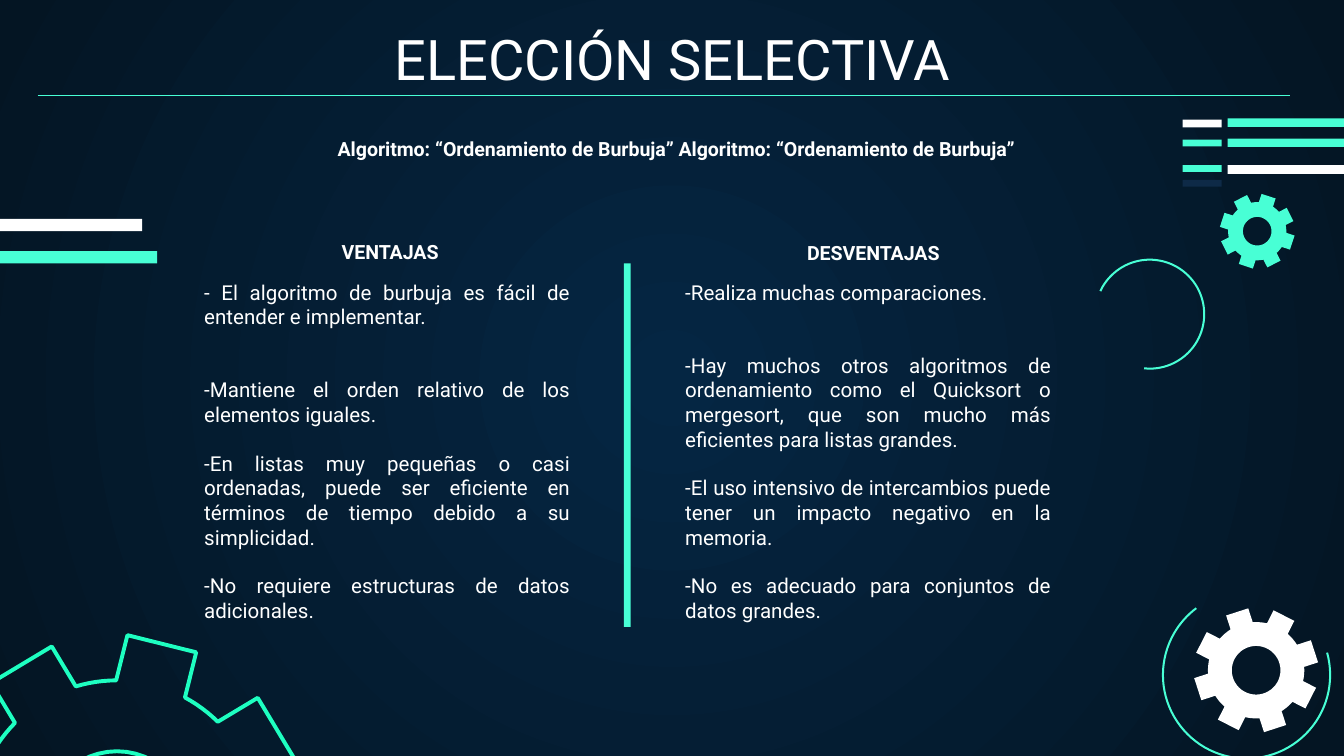
from math import asin, cos, radians, sin, tau

from lxml import etree
from pptx import Presentation
from pptx.dml.color import RGBColor
from pptx.enum.shapes import MSO_CONNECTOR, MSO_SHAPE
from pptx.enum.text import MSO_ANCHOR, PP_ALIGN
from pptx.oxml.ns import qn
from pptx.util import Cm, Pt

RECTANGLE, ARC = MSO_SHAPE.RECTANGLE, MSO_SHAPE.ARC
STRAIGHT = MSO_CONNECTOR.STRAIGHT
BOTTOM = MSO_ANCHOR.BOTTOM
CENTER, RIGHT, JUSTIFY = PP_ALIGN.CENTER, PP_ALIGN.RIGHT, PP_ALIGN.JUSTIFY

WHITE = RGBColor(0xFF, 0xFF, 0xFF)
MINT = RGBColor(0x48, 0xFF, 0xD5)
GREEN = RGBColor(0x1E, 0xFF, 0xC1)
NAVY = RGBColor(0x0E, 0x2A, 0x47)
GLOW = RGBColor(0x05, 0x26, 0x43)
NIGHT = RGBColor(0x04, 0x15, 0x23)

FONT = "Roboto"
INSET = 0.25
LINE_SPACE = 12.9  # height in points of one 11 pt line
TEETH = 8
ARC_STEPS = 6

ADVANTAGES = [
    "- El algoritmo de burbuja es fácil de entender e implementar.",
    "-Mantiene el orden relativo de los elementos iguales.",
    "-En listas muy pequeñas o casi ordenadas, puede ser eficiente en términos "
    "de tiempo debido a su simplicidad.",
    "-No requiere estructuras de datos adicionales.",
]
DRAWBACKS = [
    "-Realiza muchas comparaciones.",
    "-Hay muchos otros algoritmos de ordenamiento como el Quicksort o mergesort, "
    "que son mucho más eficientes para listas grandes.",
    "-El uso intensivo de intercambios puede tener un impacto negativo en la memoria.",
    "-No es adecuado para conjuntos de datos grandes.",
]


def add_text(slide, box, paragraphs, size=10.5, bold=False, align=RIGHT,
             gaps=(0,), bottom=INSET):
    """Place white paragraphs in a box; gaps are the points before each one."""
    frame = slide.shapes.add_textbox(*map(Cm, box)).text_frame
    frame.word_wrap = True
    frame.vertical_anchor = BOTTOM
    frame.margin_left = frame.margin_right = frame.margin_top = Cm(INSET)
    frame.margin_bottom = Cm(bottom)
    for index, (text, gap) in enumerate(zip(paragraphs, gaps)):
        paragraph = frame.add_paragraph() if index else frame.paragraphs[0]
        paragraph.alignment = align
        paragraph.space_before = Pt(gap)
        run = paragraph.add_run()
        run.text = text
        run.font.name = FONT
        run.font.size = Pt(size)
        run.font.bold = bold
        run.font.color.rgb = WHITE


def paint(shape, fill=None, line=None, width=1.09):
    shape.shadow.inherit = False
    if fill is None:
        shape.fill.background()
    else:
        shape.fill.solid()
        shape.fill.fore_color.rgb = fill
    if line is None:
        shape.line.fill.background()
    else:
        shape.line.color.rgb = line
        shape.line.width = Pt(width)


def add_bar(slide, box, color):
    paint(slide.shapes.add_shape(RECTANGLE, *map(Cm, box)), color)


def add_bars(slide, box, bars):
    """Stack bars in a box; each bar is (offset down, height, colour)."""
    left, top, width = box
    for offset, height, color in bars:
        add_bar(slide, (left, top + offset, width, height), color)


def add_arc(slide, center, radius, start, end):
    """Draw an open arc clockwise between two angles in degrees."""
    left, top = (value - radius for value in center)
    shape = slide.shapes.add_shape(ARC, Cm(left), Cm(top), Cm(2 * radius), Cm(2 * radius))
    for index, angle in enumerate((start, end)):
        shape.adjustments[index] = angle * 0.6  # 60000ths of a degree over 100000
    paint(shape, line=MINT)


def add_gear(slide, center, outer, root, hole, half_tooth, phase, **colors):
    """Draw a gear with a round hole; phase is the angle of its first tooth."""
    def point(radius, angle):
        return Cm(center[0] + radius * cos(angle)), Cm(center[1] + radius * sin(angle))

    tip, foot = asin(half_tooth / outer), asin(half_tooth / root)
    step = tau / TEETH
    valley = step - 2 * foot
    outline = []
    for tooth in range(TEETH):
        middle = radians(phase) + tooth * step
        outline += [point(outer, middle - tip), point(outer, middle + tip)]
        outline += [point(root, middle + foot + valley * part / ARC_STEPS)
                    for part in range(ARC_STEPS + 1)]
    sides = TEETH * ARC_STEPS
    ring = [point(hole, -tau * side / sides) for side in range(sides)]

    builder = slide.shapes.build_freeform(*outline[0])
    builder.add_line_segments(outline[1:])
    builder.move_to(*ring[0])
    builder.add_line_segments(ring[1:])
    paint(builder.convert_to_shape(), **colors)


def add_column(slide, left, top, paragraphs, bottom=INSET):
    gaps = (0, 2 * LINE_SPACE, LINE_SPACE, LINE_SPACE)
    add_text(slide, (left, top, 7.42, 5.97), paragraphs, size=11, align=JUSTIFY,
             gaps=gaps, bottom=bottom)


def add_rule(slide, left, right, top):
    rule = slide.shapes.add_connector(STRAIGHT, Cm(left), Cm(top), Cm(right), Cm(top))
    rule.line.color.rgb = MINT
    rule.line.width = Pt(0.75)
    etree.SubElement(rule.element.spPr, qn("a:effectLst"))


def set_background(slide):
    """Radial glow from the centre of the slide."""
    fill = slide.background.fill
    fill.gradient()
    for stop, color in zip(fill.gradient_stops, (GLOW, NIGHT)):
        stop.color.rgb = color
    gradient = slide.element.find(".//" + qn("a:gradFill"))
    gradient.remove(gradient.find(qn("a:lin")))
    radial = etree.SubElement(gradient, qn("a:path"))
    radial.set("path", "circle")
    focus = etree.SubElement(radial, qn("a:fillToRect"))
    for side in "ltrb":
        focus.set(side, "50000")


def add_decoration(slide):
    # Arcs and gears
    add_arc(slide, (21.73, 5.94), 1.03, 205, 96)
    add_arc(slide, (23.56, 12.76), 1.58, 344.5, 233)
    add_gear(slide, (2.21, 15.57), 3.57, 2.71, 1.37, 0.67, 284, line=GREEN, width=2.1)
    add_gear(slide, (23.74, 12.67), 1.18, 0.91, 0.46, 0.22, 252, fill=WHITE)
    add_gear(slide, (23.76, 4.37), 0.71, 0.55, 0.27, 0.14, 243, fill=MINT)
    # Bars at the right edge
    add_bars(slide, (22.35, 2.26, 0.74), [
        (0, 0.15, WHITE), (0.38, 0.13, MINT), (0.86, 0.13, MINT), (1.14, 0.13, NAVY)])
    add_bars(slide, (23.2, 2.24, 2.74), [
        (0, 0.16, MINT), (0.38, 0.16, MINT), (0.88, 0.17, WHITE)])
    # Bars at the left edge
    add_bar(slide, (-1.02, 4.14, 3.71, 0.23), WHITE)
    add_bar(slide, (-0.74, 4.75, 3.71, 0.23), MINT)


def add_comparison(slide):
    add_column(slide, 3.61, 6.05, ADVANTAGES)
    add_column(slide, 12.7, 6.5, DRAWBACKS, bottom=0.7)
    add_text(slide, (6.1, 4.47, 2.44, 0.74), ["VENTAJAS"], bold=True)
    add_text(slide, (14.81, 4.52, 3.2, 0.71), ["DESVENTAJAS"], bold=True)
    # Divider between the columns
    add_bar(slide, (11.79, 4.98, 0.13, 6.87), MINT)


def main():
    presentation = Presentation()
    presentation.slide_width, presentation.slide_height = Cm(25.4), Cm(14.29)
    slide = presentation.slides.add_slide(presentation.slide_layouts[6])
    set_background(slide)
    add_decoration(slide)
    # Title and subtitle
    add_text(slide, (1.22, 0.36, 22.99, 1.63), ["ELECCIÓN SELECTIVA"], size=30, align=CENTER)
    add_text(slide, (4.83, 2.72, 14.61, 0.53), [
        "Algoritmo: “Ordenamiento de Burbuja” Algoritmo: “Ordenamiento de Burbuja”"],
        bold=True)
    add_comparison(slide)
    add_rule(slide, 0.71, 24.38, 1.8)
    presentation.save("out.pptx")


if __name__ == "__main__":
    main()
